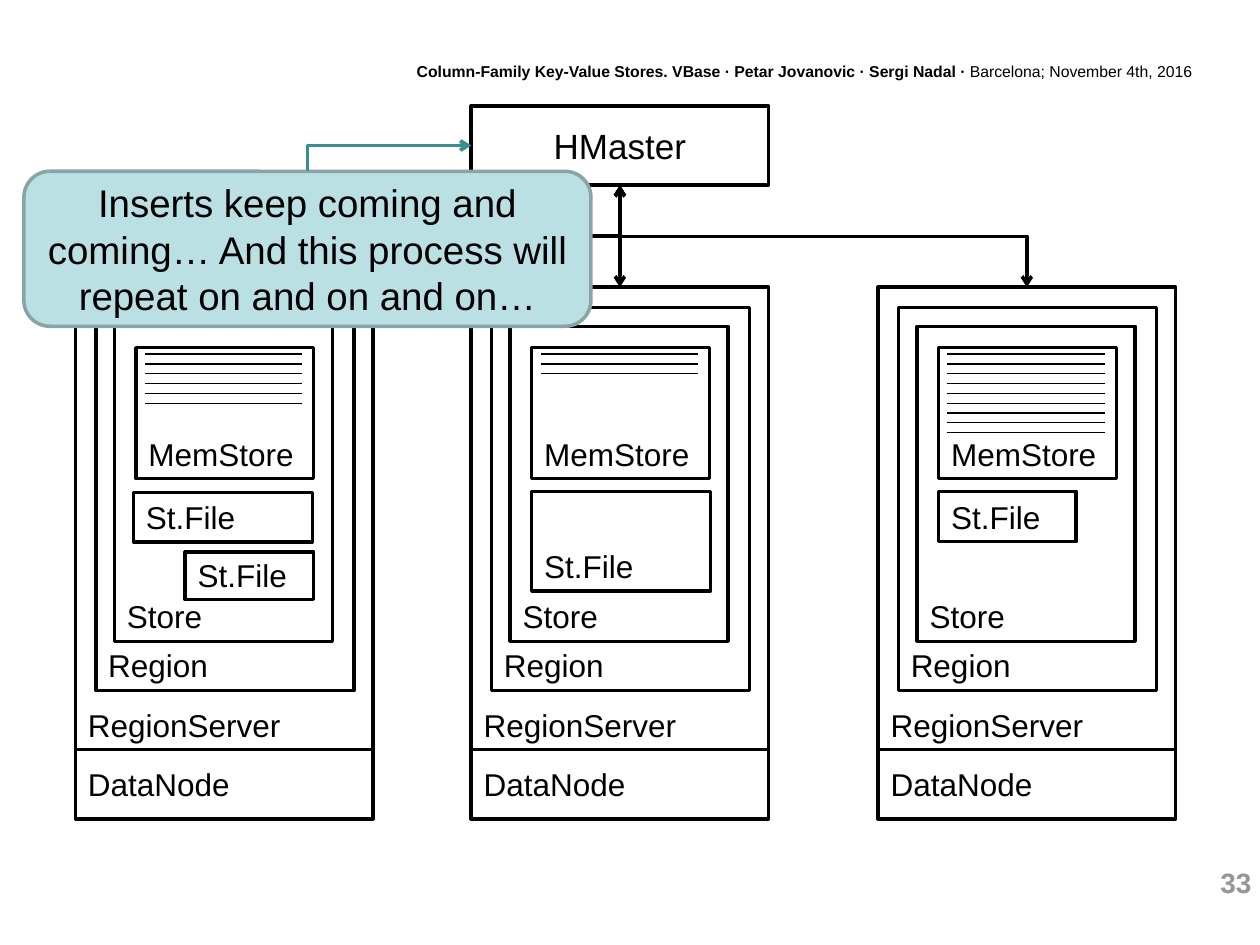
from collections import namedtuple

from lxml import etree
from pptx import Presentation
from pptx import util as u
from pptx.dml import color
from pptx.enum import shapes, text
from pptx.oxml import ns

COLUMNS = 100
CELL = u.Inches(10) // COLUMNS
BLACK, WHITE = "000000", "FFFFFF"
Box = namedtuple("Box", "left top width height")


def cells(*counts):
    """Convert counts of grid cells to lengths."""
    return [round(count * CELL) for count in counts]


def rgb(value):
    """Turn a hex string into a colour."""
    return color.RGBColor.from_string(value)


def inner(box, left, top, width, height):
    """Return a box placed at an offset inside another box."""
    return Box(box.left + left, box.top + top, width, height)


def write(shape, runs, size, ink=BLACK, align="LEFT", anchor="MIDDLE"):
    """Fill a shape with one paragraph of (words, bold) runs."""
    frame = shape.text_frame
    frame.word_wrap = True
    frame.vertical_anchor = getattr(text.MSO_ANCHOR, anchor)
    paragraph = frame.paragraphs[0]
    paragraph.alignment = getattr(text.PP_ALIGN, align)
    for words, bold in runs:
        run = paragraph.add_run()
        run.text = words
        run.font.name, run.font.size, run.font.bold = "Arial", u.Pt(size), bold
        run.font.color.rgb = rgb(ink)


def add_label(slide, box, runs, size, ink=BLACK):
    """Add right-aligned text without an outline."""
    write(slide.shapes.add_textbox(*cells(*box)), runs, size, ink, "RIGHT", "TOP")


def add_block(slide, box, words, size=18, align="LEFT", anchor="BOTTOM",
              fill=WHITE, line=BLACK, kind="RECTANGLE"):
    """Add an outlined block with its name."""
    shape = slide.shapes.add_shape(getattr(shapes.MSO_SHAPE, kind), *cells(*box))
    shape.shadow.inherit = False
    shape.fill.solid()
    shape.fill.fore_color.rgb = rgb(fill)
    shape.line.color.rgb = rgb(line)
    shape.line.width = u.Pt(2)
    write(shape, [(words, False)], size, align=align, anchor=anchor)


def add_line(slide, start, end, ink=BLACK, weight=2, arrows=()):
    """Add a straight line with open arrowheads at the named ends."""
    connector = slide.shapes.add_connector(
        shapes.MSO_CONNECTOR.STRAIGHT, *cells(*start, *end))
    connector.line.color.rgb = rgb(ink)
    connector.line.width = u.Pt(weight)
    for name in arrows:
        outline = connector.line._get_or_add_ln()
        etree.SubElement(outline, ns.qn(f"a:{name}"), type="arrow")
    etree.SubElement(connector._element.spPr, ns.qn("a:effectLst"))
    return connector


def add_elbow(slide, start, end, preset, **style):
    """Add a bent line that leaves its start vertically."""
    connector = add_line(slide, start, end, **style)
    across, down = end[0] - start[0], end[1] - start[1]
    middle_x, middle_y = (start[0] + end[0]) / 2, (start[1] + end[1]) / 2
    width, height = abs(down), abs(across)
    (connector.left, connector.top, connector.width, connector.height) = cells(
        middle_x - width / 2, middle_y - height / 2, width, height)
    properties = connector._element.spPr
    properties.find(ns.qn("a:prstGeom")).set("prst", preset)
    frame = properties.find(ns.qn("a:xfrm"))
    frame.set("rot", str(90 * 60000))
    frame.set("flipH", str(int(down < 0)))
    frame.set("flipV", str(int(across > 0)))


def add_node(slide, box, entries, files):
    """Draw a data node with its nested region server, region and stores."""
    server_height = box.height - 5.5
    add_block(slide, inner(box, 0, server_height, box.width, 5.5), "DataNode", anchor="MIDDLE")
    add_block(slide, inner(box, 0, 0, box.width, server_height), "RegionServer")
    add_block(slide, inner(box, 1.6, 1.6, 20.5, 30.4), "Region")
    add_block(slide, inner(box, 3.1, 3.1, 17.3, 25), "Store")
    add_block(slide, inner(box, 4.8, 4.8, 14.1, 10.4), "MemStore")
    for place in files:
        add_block(slide, inner(box, *place), "St.File")
    for entry in range(entries):
        row = inner(box, 5.5, 5.3 + 0.78 * entry, 12.5, 0)
        add_line(slide, row[:2], (row.left + row.width, row.top), weight=0.75)


def add_master(slide, box, nodes):
    """Draw the master and its links to every node."""
    add_block(slide, box, "HMaster", 20, "CENTER", "MIDDLE")
    start = (box.left + box.width / 2, box.top + box.height)
    for node in nodes:
        end = (node.left + node.width / 2, node.top)
        style = {"arrows": ("headEnd", "tailEnd")}
        if end[0] == start[0]:
            add_line(slide, start, end, **style)
        else:
            add_elbow(slide, start, end, "bentConnector3", **style)


def add_callout(slide, box, target):
    """Draw the remark and its arrow to the target."""
    add_block(slide, box,
              "Inserts keep coming and coming… And this process will repeat on and on and on…",
              22, "CENTER", "MIDDLE", "BBE0E3", "89A4A7", "FLOWCHART_ALTERNATE_PROCESS")
    add_elbow(slide, (box.left + box.width / 2, box.top), target, "bentConnector2",
              ink="3C8C93", arrows=("tailEnd",))


def main():
    """Build and save the slide."""
    presentation = Presentation()
    presentation.slide_width, presentation.slide_height = cells(COLUMNS, 75)
    slide = presentation.slides.add_slide(presentation.slide_layouts[6])
    add_label(slide, Box(87.6, 68.2, 12.7, 3.7), [("33", True)], 16, "969696")
    add_label(slide, Box(29.5, 4.4, 66.1, 2.5), [
        ("Column-Family Key-Value Stores. VBase · Petar Jovanovic · Sergi Nadal · ", True),
        ("Barcelona; November 4th, 2016", False)], 9)
    nodes = [Box(left, 22.8, 23.6, 42.2) for left in (6, 37.4, 69.7)]
    contents = [
        (6, [(4.6, 16.3, 14.2, 3.9), (8.7, 21, 10.2, 3.8)]),
        (3, [(4.8, 16.2, 14.2, 7.9)]),
        (9, [(4.8, 16.2, 10.9, 4)]),
    ]
    for node, (entries, files) in zip(nodes, contents):
        add_node(slide, node, entries, files)
    master = Box(nodes[1].left, 8.4, 23.6, 6.3)
    add_master(slide, master, nodes)
    add_callout(slide, Box(1.9, 13.6, 45, 12.3), (master.left, master.top + master.height / 2))
    presentation.save("out.pptx")


if __name__ == "__main__":
    main()
